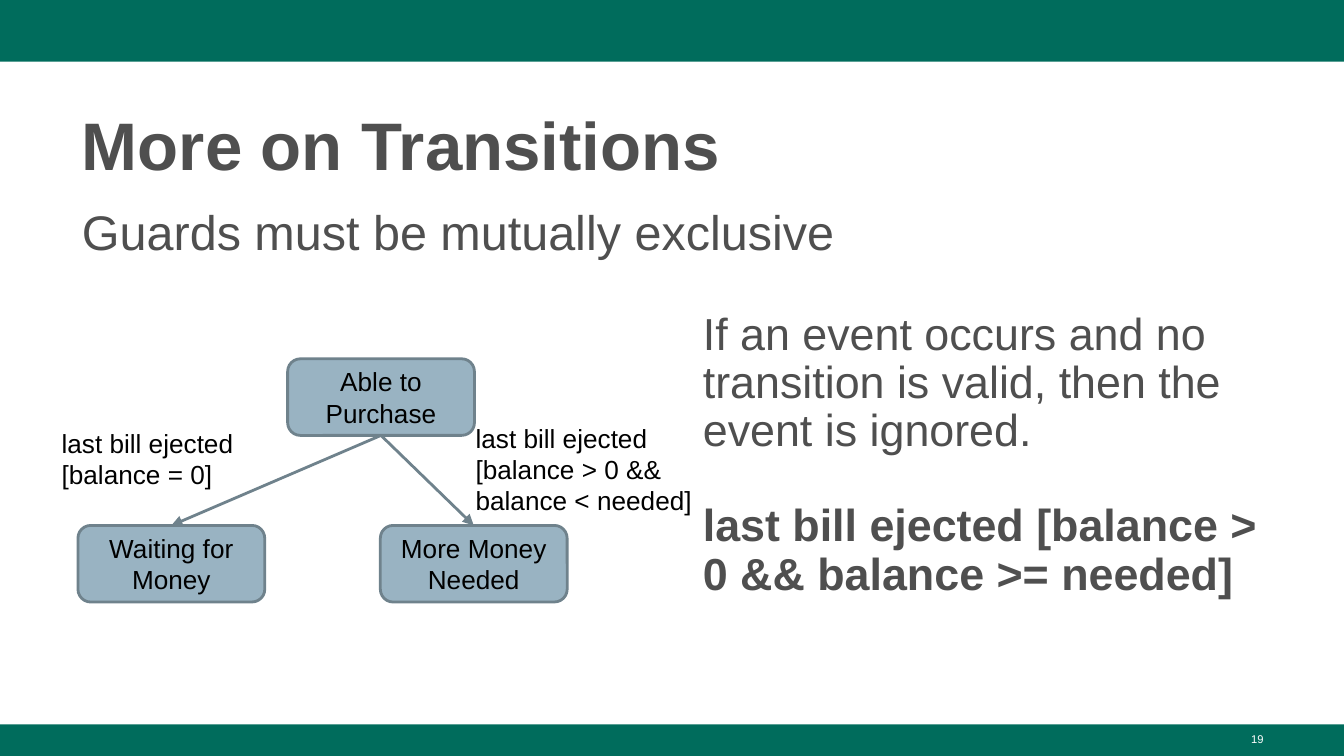
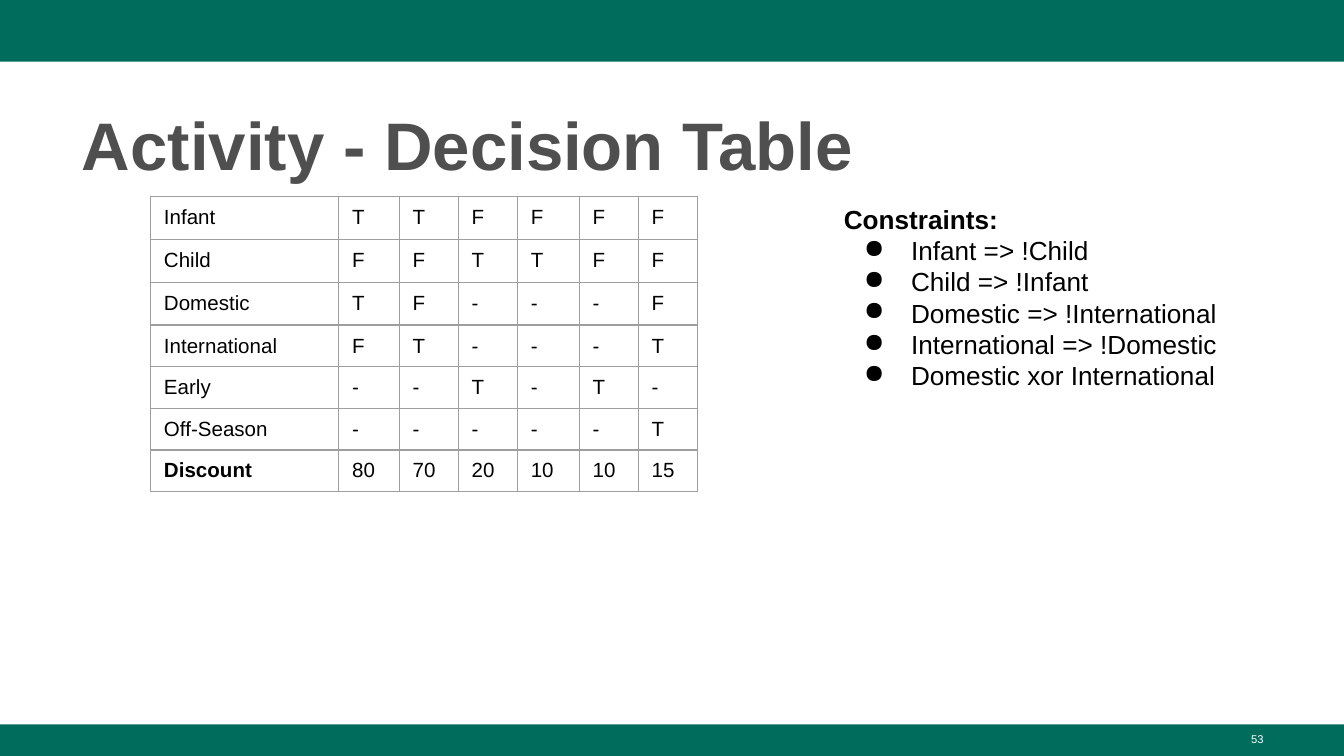
from typing import NamedTuple

from lxml.etree import SubElement
from pptx import Presentation
from pptx.dml.color import RGBColor
from pptx.enum.shapes import MSO_CONNECTOR, MSO_SHAPE
from pptx.enum.text import MSO_ANCHOR as Anchor, MSO_AUTO_SIZE, PP_ALIGN as Align
from pptx.oxml.ns import qn
from pptx.util import Emu, Inches, Pt

# The slide is a grid of 100 columns by 56.25 rows, each cell a tenth of an inch.
COLS, ROWS = 100, 56.25
UNIT = Inches(0.1)
FONT = "Arial"
GREEN, GREY, BLACK, WHITE = "006C5C", "4F4F4F", "000000", "FFFFFF"
STATE_FILL, STATE_LINE, TABLE_LINE = "99B3C2", "6F828C", "9E9E9E"
TITLE_ONLY, TWO_CONTENT = 5, 3


class Box(NamedTuple):
    col: float
    row: float
    cols: float
    rows: float


class Para(NamedTuple):
    text: str
    bold: bool = False
    before: float = 0
    bullet: bool = False


class Style(NamedTuple):
    size: float
    color: str = BLACK
    align: Align = Align.LEFT
    anchor: Anchor = Anchor.TOP
    spacing: float = 1.0
    inset: float = 1.0


class State(NamedTuple):
    name: str
    col: float
    row: float


class Label(NamedTuple):
    lines: tuple[str, ...]
    col: float
    row: float


TOP_BAND = Box(0, 0, COLS, 4.6)
BOTTOM_BAND = Box(0, 53.9, COLS, ROWS - 53.9)
TITLE_BOX = Box(5.1, 6.7, 89.9, 7.3)
NUMBER_BOX = Box(71.7, 54, 23.3, 2.3)
TITLE = Style(36, GREY, spacing=1.08, inset=0.5)
NUMBER = Style(6, WHITE, Align.RIGHT, inset=0.5)
LEAD = Style(26, GREY)
ASIDE = Style(24, GREY, anchor=Anchor.MIDDLE, spacing=0.9)
STATE = Style(14, align=Align.CENTER, anchor=Anchor.MIDDLE)
NOTE = Style(14)
CELL = Style(11)

STATE_SIZE = (13.9, 5.7)
PARENT = State("Able to Purchase", 21.4, 26.7)
CHILDREN = (State("Waiting for Money", 5.8, 39.1), State("More Money Needed", 28.3, 39.1))
LABELS = (
    Label(("last bill ejected", "[balance = 0]"), 3.6, 30.8),
    Label(("last bill ejected", "[balance > 0 && balance < needed]"), 34.4, 30.4),
)

DECISIONS = (
    "Infant T T F F F F",
    "Child F F T T F F",
    "Domestic T F - - - F",
    "International F T - - - T",
    "Early - - T - T -",
    "Off-Season - - - - - T",
    "Discount 80 70 20 10 10 15",
)
TABLE_COLS = (14, 4.5, 4.4, 4.4, 4.6, 4.4, 4.4)
TABLE_ROWS = (3.2,) * 3 + (3.1,) * 4
CONSTRAINTS = (
    "Infant => !Child",
    "Child => !Infant",
    "Domestic => !International",
    "International => !Domestic",
    "Domestic xor International",
)


def grid(n: float) -> Emu:
    return Emu(round(n * UNIT))


def rgb(color: str) -> RGBColor:
    return RGBColor.from_string(color)


def place(sp, box: Box) -> None:
    sp.left, sp.top, sp.width, sp.height = map(grid, box)


def set_bullet(p, bullet: bool) -> None:
    pPr = p._p.get_or_add_pPr()
    pPr.set("marL", str(Inches(0.5) if bullet else 0))
    pPr.set("indent", str(Inches(-0.35) if bullet else 0))
    if bullet:
        SubElement(SubElement(pPr, qn("a:buClr")), qn("a:srgbClr"), val=BLACK)
        SubElement(pPr, qn("a:buChar"), char="●")
    else:
        SubElement(pPr, qn("a:buNone"))


def write(tf, paras: list[Para], style: Style) -> None:
    for i, para in enumerate(paras):
        p = tf.add_paragraph() if i else tf.paragraphs[0]
        set_bullet(p, para.bullet)
        p.alignment = style.align
        p.line_spacing = style.spacing
        p.space_before = Pt(para.before)
        r = p.add_run()
        r.text = para.text
        r.font.name, r.font.size, r.font.bold = FONT, Pt(style.size), para.bold
        r.font.color.rgb = rgb(style.color)


def fill_text(sp, paras: list[Para], style: Style) -> None:
    tf = sp.text_frame
    tf.word_wrap = True
    tf.auto_size = MSO_AUTO_SIZE.NONE
    tf.vertical_anchor = style.anchor
    tf.margin_left = tf.margin_right = grid(1)
    tf.margin_top = tf.margin_bottom = grid(style.inset)
    write(tf, paras, style)


def add_text(s, box: Box, paras: list[Para], style: Style) -> None:
    fill_text(s.shapes.add_textbox(*map(grid, box)), paras, style)


def fill_placeholder(sp, box: Box, paras: list[Para], style: Style) -> None:
    place(sp, box)
    fill_text(sp, paras, style)


def add_block(s, kind: MSO_SHAPE, box: Box, fill: str):
    sp = s.shapes.add_shape(kind, *map(grid, box))
    sp.shadow.inherit = False
    sp.fill.solid()
    sp.fill.fore_color.rgb = rgb(fill)
    sp.line.fill.background()
    return sp


def add_slide(prs, layout: int, title: str, number: int):
    """Add a slide with the bands, title and page number that all slides share."""
    s = prs.slides.add_slide(prs.slide_layouts[layout])
    for band in (TOP_BAND, BOTTOM_BAND):
        add_block(s, MSO_SHAPE.RECTANGLE, band, GREEN)
    fill_placeholder(s.shapes.title, TITLE_BOX, [Para(title, True)], TITLE)
    add_text(s, NUMBER_BOX, [Para(str(number))], NUMBER)
    return s


def add_state(s, state: State):
    sp = add_block(s, MSO_SHAPE.ROUNDED_RECTANGLE, Box(state.col, state.row, *STATE_SIZE), STATE_FILL)
    sp.line.color.rgb = rgb(STATE_LINE)
    sp.line.width = Pt(1.5)
    fill_text(sp, [Para(state.name)], STATE)
    return sp


def add_transition(s, source, target) -> None:
    """Draw an arrow from the bottom of one state to the top of another."""
    c = s.shapes.add_connector(MSO_CONNECTOR.STRAIGHT, 0, 0, 0, 0)
    c.begin_connect(source, 2)
    c.end_connect(target, 0)
    c.line.color.rgb = rgb(STATE_LINE)
    c.line.width = Pt(1.5)
    SubElement(c.line._get_or_add_ln(), qn("a:tailEnd"), type="triangle")
    SubElement(c._element.spPr, qn("a:effectLst"))


def set_borders(cell) -> None:
    tcPr = cell._tc.get_or_add_tcPr()
    for side in ("lnL", "lnR", "lnT", "lnB"):
        ln = SubElement(tcPr, qn(f"a:{side}"), w=str(Pt(0.75)))
        SubElement(SubElement(ln, qn("a:solidFill")), qn("a:srgbClr"), val=TABLE_LINE)


def add_decision_table(s, col: float, row: float) -> None:
    box = Box(col, row, sum(TABLE_COLS), sum(TABLE_ROWS))
    table = s.shapes.add_table(len(TABLE_ROWS), len(TABLE_COLS), *map(grid, box)).table
    table.first_row = table.horz_banding = False
    for column, width in zip(table.columns, TABLE_COLS):
        column.width = grid(width)
    for i, (line, height) in enumerate(zip(DECISIONS, TABLE_ROWS)):
        table.rows[i].height = grid(height)
        for j, value in enumerate(line.split()):
            cell = table.cell(i, j)
            cell.margin_left = cell.margin_right = grid(1)
            cell.margin_top = cell.margin_bottom = grid(0.7)
            set_borders(cell)
            cell.fill.background()
            write(cell.text_frame, [Para(value, value == "Discount")], CELL)


def build_transitions(prs) -> None:
    s = add_slide(prs, TWO_CONTENT, "More on Transitions", 19)
    lead, aside = list(s.placeholders)[1:]
    fill_placeholder(lead, Box(5.1, 14, 89.9, 38.1), [Para("Guards must be mutually exclusive")], LEAD)
    fill_placeholder(aside, Box(51.3, 17.5, 43.7, 32.8), [
        Para("If an event occurs and no transition is valid, then the event is ignored."),
        Para("last bill ejected [balance > 0 && balance >= needed]", True, before=25),
    ], ASIDE)
    parent = add_state(s, PARENT)
    for child in CHILDREN:
        add_transition(s, parent, add_state(s, child))
    for label in LABELS:
        add_text(s, Box(label.col, label.row, 19.5, 2.6), [Para(line) for line in label.lines], NOTE)


def build_decision_table(prs) -> None:
    s = add_slide(prs, TITLE_ONLY, "Activity - Decision Table", 53)
    add_decision_table(s, 11.2, 14.6)
    constraints = [Para(text, bullet=True) for text in CONSTRAINTS]
    add_text(s, Box(61.8, 14.1, 30.8, 9.8), [Para("Constraints:", True), *constraints], NOTE)


def main() -> None:
    prs = Presentation()
    prs.slide_width, prs.slide_height = grid(COLS), grid(ROWS)
    build_transitions(prs)
    build_decision_table(prs)
    prs.save("out.pptx")


if __name__ == "__main__":
    main()
